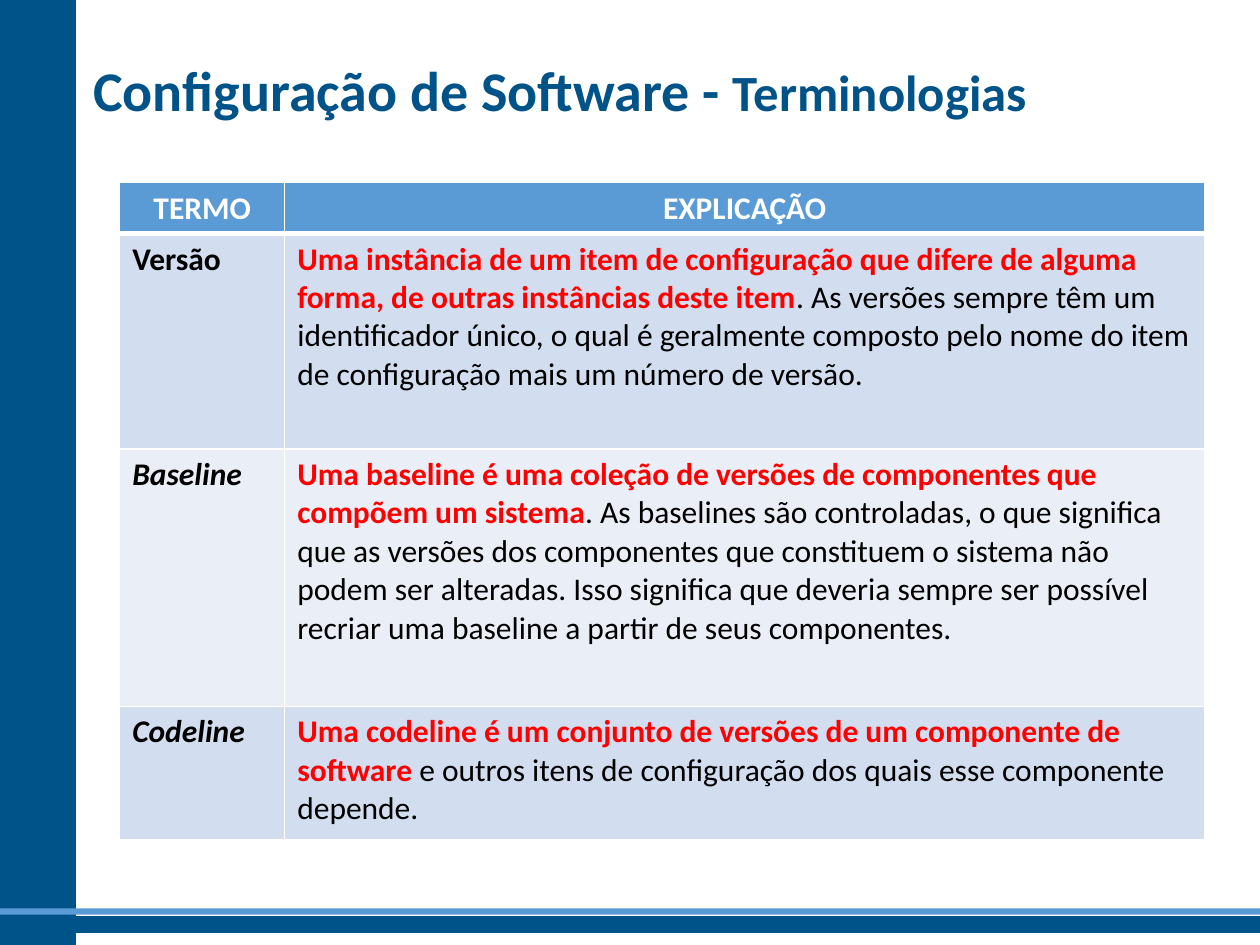
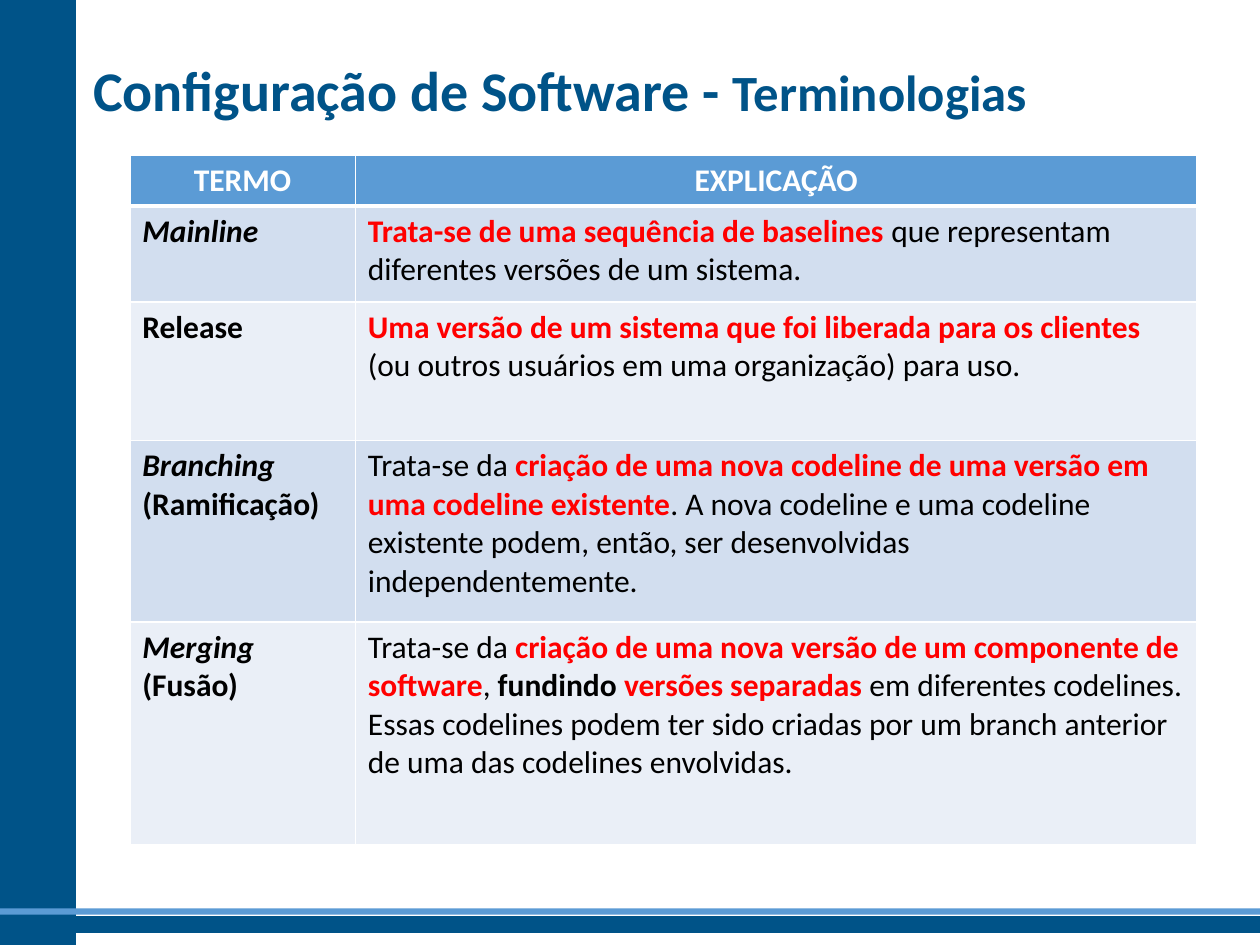
from dataclasses import dataclass

from lxml.etree import SubElement
from pptx import Presentation
from pptx.dml.color import RGBColor
from pptx.enum.shapes import MSO_SHAPE
from pptx.enum.text import MSO_ANCHOR, MSO_AUTO_SIZE, PP_ALIGN
from pptx.oxml.ns import qn
from pptx.util import Inches, Pt

NAVY, BLUE, WHITE, BLACK, RED = "005388", "5B9BD5", "FFFFFF", "000000", "FF0000"
ROW_FILLS = ["D2DEEF", "EAEFF7"]
FONT = "Calibri"
TITLE = [("Configuração de Software - ", 32), ("Terminologias", 29)]
HEADINGS = ["TERMO", "EXPLICAÇÃO"]


@dataclass
class Span:
    text: str
    color: str = BLACK
    bold: bool = False
    italic: bool = False


def term(text):
    return [Span(text, bold=True)]


def foreign_term(text):
    return [Span(text, bold=True, italic=True)]


def key(text):
    return Span(text, RED, bold=True)


FIRST_TERMS = [
    ([term("Versão")], [
        key("Uma instância de um item de configuração que difere de alguma forma, "
            "de outras instâncias deste item"),
        Span(". As versões sempre têm um identificador único, o qual é geralmente "
             "composto pelo nome do item de configuração mais um número de versão.")]),
    ([foreign_term("Baseline")], [
        key("Uma baseline é uma coleção de versões de componentes que compõem um sistema"),
        Span(". As baselines são controladas, o que significa que as versões dos "
             "componentes que constituem o sistema não podem ser alteradas. Isso "
             "significa que deveria sempre ser possível recriar uma baseline a partir "
             "de seus componentes.")]),
    ([foreign_term("Codeline")], [
        key("Uma codeline é um conjunto de versões de um componente de software"),
        Span(" e outros itens de configuração dos quais esse componente depende.")]),
]

SECOND_TERMS = [
    ([foreign_term("Mainline")], [
        key("Trata-se de uma sequência de baselines "),
        Span("que representam diferentes versões de um sistema.")]),
    ([term("Release")], [
        key("Uma versão de um sistema que foi liberada para os clientes "),
        Span("(ou outros usuários em uma organização) para uso.")]),
    ([foreign_term("Branching"), term("(Ramificação)")], [
        Span("Trata-se da "),
        key("criação de uma nova codeline de uma versão em uma codeline existente"),
        Span(". A nova codeline e uma codeline existente podem, então, ser "
             "desenvolvidas independentemente.")]),
    ([foreign_term("Merging"), term("(Fusão)")], [
        Span("Trata-se da "),
        key("criação de uma nova versão de um componente de software"),
        Span(", "),
        Span("fundindo ", bold=True),
        key("versões separadas "),
        Span("em diferentes codelines. Essas codelines podem ter sido criadas por um "
             "branch anterior de uma das codelines envolvidas.")]),
]


def rgb(color):
    return RGBColor.from_string(color)


def add_band(page, layout, index, place, color, outlined):
    band = page.shapes.add_shape(MSO_SHAPE.RECTANGLE, *map(Inches, place))
    band.shadow.inherit = False
    band.fill.solid()
    band.fill.fore_color.rgb = rgb(color)
    if outlined:
        band.line.color.rgb = rgb(color)
        band.line.width = Pt(1)
    else:
        band.line.fill.background()
    band.element.nvSpPr.cNvPr.set("id", str(100 + index))
    layout.shapes.element.insert(2 + index, band.element)


def add_bands(page, layout):
    bands = [
        ((0, 0, 0.6, 7.5), NAVY, True),
        ((0, 7.28, 10, 0.12), NAVY, True),
        ((0, 7.21, 10, 0.05), BLUE, False),
    ]
    for index, band in enumerate(bands):
        add_band(page, layout, index, *band)


def add_title(page):
    box = page.shapes.title
    box.left, box.top, box.width, box.height = map(Inches, (0.64, 0.19, 9.32, 1.03))
    frame = box.text_frame
    frame.word_wrap = True
    frame.auto_size = MSO_AUTO_SIZE.NONE
    frame.vertical_anchor = MSO_ANCHOR.MIDDLE
    para = frame.paragraphs[0]
    para.alignment = PP_ALIGN.LEFT
    para.font.name = FONT
    para.font.bold = True
    para.font.color.rgb = rgb(NAVY)
    for text, size in TITLE:
        run = para.add_run()
        run.text = text
        run.font.size = Pt(size)


def set_borders(cell, top, bottom):
    properties = cell._tc.get_or_add_tcPr()
    for side, width in (("L", 1), ("R", 1), ("T", top), ("B", bottom)):
        line = SubElement(properties, qn(f"a:ln{side}"), w=str(Pt(width)))
        fill = SubElement(line, qn("a:solidFill"))
        SubElement(fill, qn("a:srgbClr"), val=WHITE)


def fill_cell(cell, paragraphs, fill, alignment):
    cell.fill.solid()
    cell.fill.fore_color.rgb = rgb(fill)
    frame = cell.text_frame
    for index, spans in enumerate(paragraphs):
        para = frame.add_paragraph() if index else frame.paragraphs[0]
        para.alignment = alignment
        para.font.name = FONT
        para.font.size = Pt(18)
        for span in spans:
            run = para.add_run()
            run.text = span.text
            run.font.bold = span.bold
            run.font.italic = span.italic
            run.font.color.rgb = rgb(span.color)


def add_term_table(page, left, top, widths, heights, terms):
    place = map(Inches, (left, top, sum(widths), sum(heights)))
    table = page.shapes.add_table(len(heights), len(widths), *place).table
    table.horz_banding = False
    for column, width in zip(table.columns, widths):
        column.width = Inches(width)
    for row, height in zip(table.rows, heights):
        row.height = Inches(height)
    for cell, heading in zip(table.rows[0].cells, HEADINGS):
        set_borders(cell, 1, 3)
        fill_cell(cell, [[Span(heading, WHITE, bold=True)]], BLUE, PP_ALIGN.CENTER)
    for number, (name, explanation) in enumerate(terms, start=1):
        for cell, paragraphs in zip(table.rows[number].cells, (name, [explanation])):
            set_borders(cell, 3 if number == 1 else 1, 1)
            fill_cell(cell, paragraphs, ROW_FILLS[(number - 1) % 2], PP_ALIGN.LEFT)


def main():
    deck = Presentation()
    deck.slide_width, deck.slide_height = Inches(10), Inches(7.5)
    layout = deck.slide_layouts.get_by_name("Title Only")
    tables = [
        (0.95, 1.45, [1.31, 7.3], [0.4, 1.71, 2.04, 1.06], FIRST_TERMS),
        (1.03, 1.23, [1.79, 6.68], [0.4, 0.76, 1.1, 1.44, 1.77], SECOND_TERMS),
    ]
    pages = [deck.slides.add_slide(layout) for _ in tables]
    add_bands(pages[0], layout)
    for page, table in zip(pages, tables):
        add_title(page)
        add_term_table(page, *table)
    deck.save("out.pptx")


if __name__ == "__main__":
    main()
